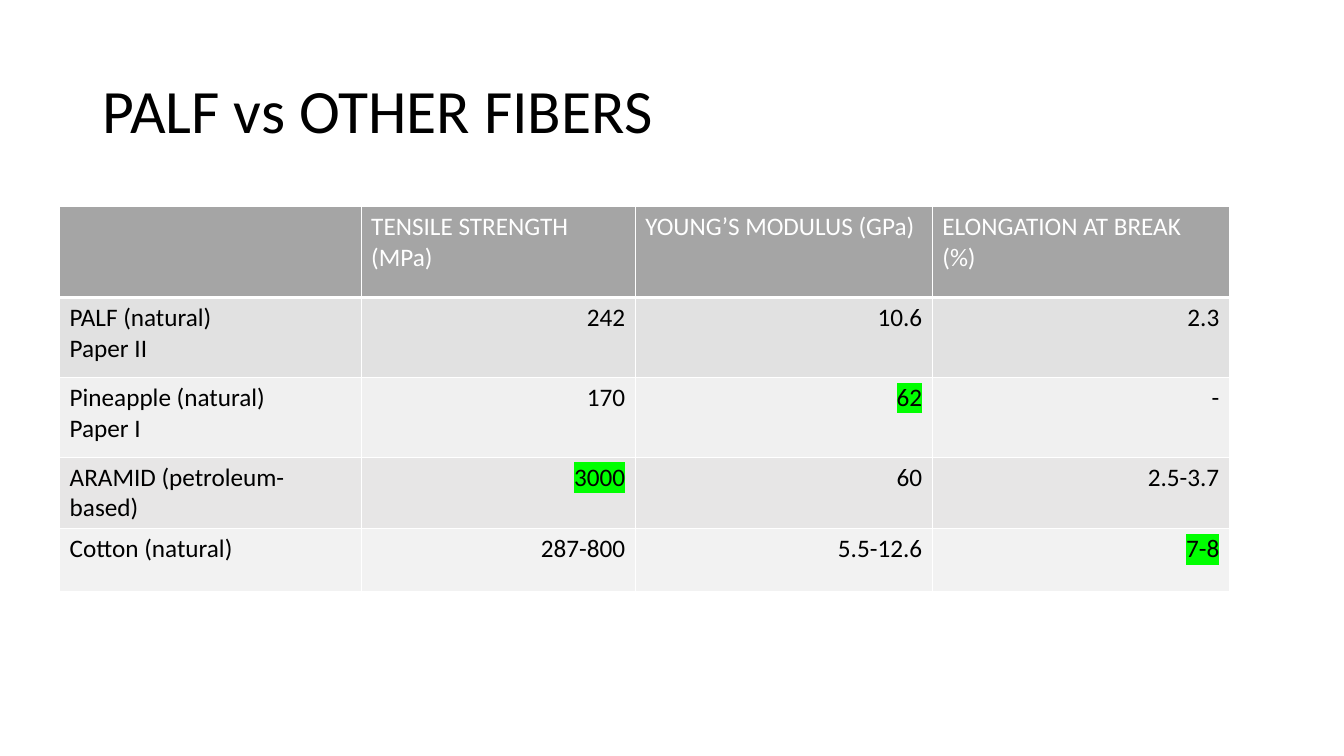
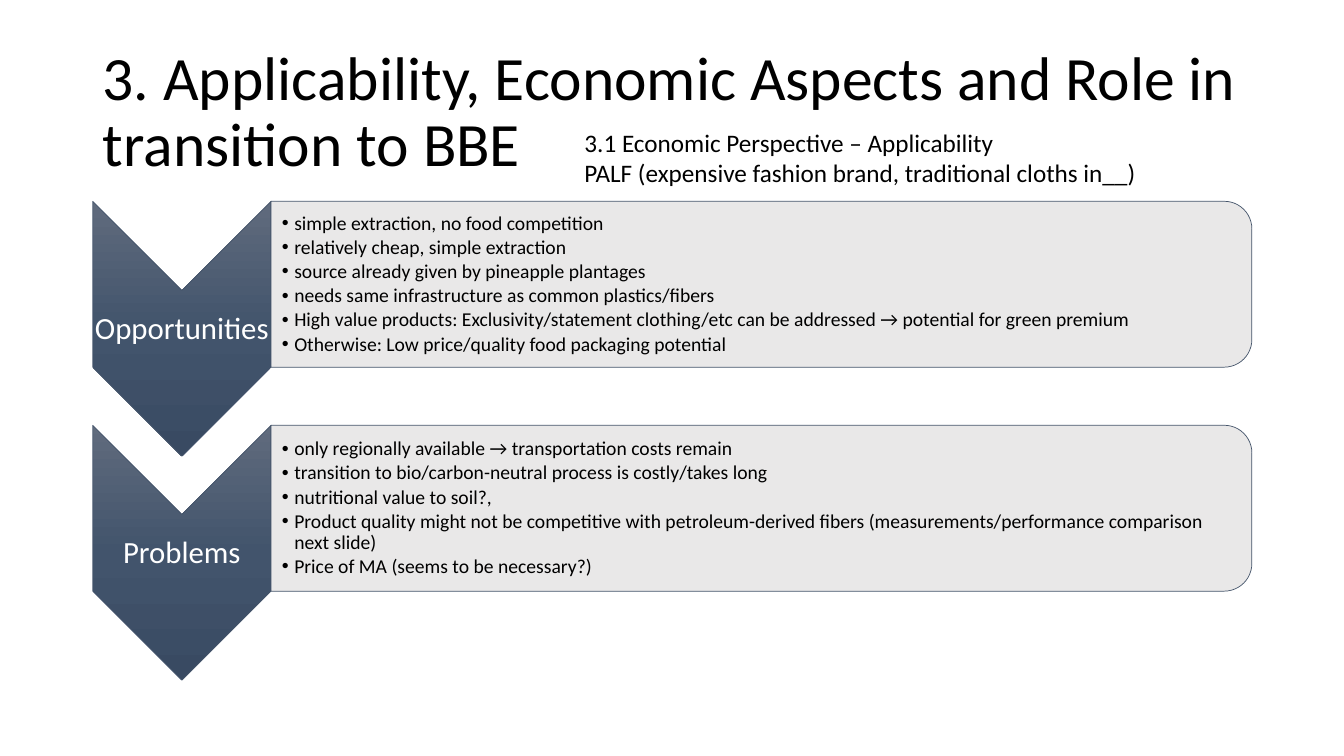
from dataclasses import dataclass

from lxml import etree
from pptx import Presentation
from pptx import util as u
from pptx.dml.color import RGBColor
from pptx.enum import shapes, text
from pptx.oxml import parse_xml
from pptx.oxml.ns import nsdecls, qn

Pt = u.Pt
ALIGN = text.PP_ALIGN
ANCHOR = text.MSO_ANCHOR
SHAPE = shapes.MSO_SHAPE


@dataclass(frozen=True)
class Theme:
    font: str = "Calibri"
    ink: str = "000000"
    white: str = "FFFFFF"
    header: str = "A5A5A5"
    bands: tuple = ("E1E1E1", "F0F0F0", "E7E6E6", "F2F2F2")
    mark: str = "00FF00"
    panel: str = "E7E6E6"
    outline: str = "44546A"
    gradient: tuple = ((0, "606B7D"), (50, "42546C"), (100, "394A62"))
    title_size: int = 44
    label_size: int = 22
    text_size: int = 18
    list_size: int = 14


T = Theme()

HEADINGS = ["", "TENSILE STRENGTH (MPa)", "YOUNG’S MODULUS (GPa)", "ELONGATION AT BREAK (%)"]
FIBERS = [
    ["PALF (natural)\nPaper II", "242", "10.6", "2.3"],
    ["Pineapple (natural)\nPaper I", "170", "62", "-"],
    ["ARAMID (petroleum-based)", "3000", "60", "2.5-3.7"],
    ["Cotton (natural)", "287-800", "5.5-12.6", "7-8"],
]
BEST = {(2, 2), (3, 1), (4, 3)}
COL_WIDTHS = [215.4, 195.8, 212.2, 212.2]
ROW_HEIGHTS = [65, 57, 57, 51, 45]

ASPECTS = [
    ("Opportunities", [
        "simple extraction, no food competition",
        "relatively cheap, simple extraction",
        "source already given by pineapple plantages",
        "needs same infrastructure as common plastics/fibers",
        "High value products: Exclusivity/statement clothing/etc can be addressed → potential for green premium",
        "Otherwise: Low price/quality food packaging potential",
    ]),
    ("Problems", [
        "only regionally available → transportation costs remain",
        "transition to bio/carbon-neutral process is costly/takes long",
        "nutritional value to soil?,",
        "Product quality might not be competitive with petroleum-derived fibers (measurements/performance comparison next slide)",
        "Price of MA (seems to be necessary?)",
    ]),
]


def rgb(color):
    return RGBColor.from_string(color)


def add_bullet(p, indent):
    pPr = p._p.get_or_add_pPr()
    pPr.set("marL", str(Pt(indent)))
    pPr.set("indent", str(-Pt(indent)))
    etree.SubElement(pPr, qn("a:buChar")).set("char", "•")


def write(tf, content, size=T.text_size, color=T.ink, align=ALIGN.LEFT,
          spacing=1.0, after=0, bullet=False, mark=None):
    for i, line in enumerate(content.split("\n")):
        p = tf.paragraphs[0] if i == 0 else tf.add_paragraph()
        if bullet:
            add_bullet(p, 8.8)
        p.alignment, p.line_spacing = align, spacing
        p.space_before, p.space_after = Pt(0), Pt(after)
        r = p.add_run()
        r.text = line
        r.font.size, r.font.bold = Pt(size), False
        r.font.color.rgb = rgb(color)
        if mark:
            highlight = etree.SubElement(r._r.get_or_add_rPr(), qn("a:highlight"))
            etree.SubElement(highlight, qn("a:srgbClr")).set("val", mark)
        r.font.name = T.font


def place(sp, x, y, w, h):
    sp.left, sp.top, sp.width, sp.height = Pt(x), Pt(y), Pt(w), Pt(h)


def frame(sp, margins=(7.2, 3.6, 7.2, 3.6), anchor=ANCHOR.MIDDLE):
    tf = sp.text_frame
    tf.word_wrap = True
    tf.auto_size = text.MSO_AUTO_SIZE.NONE
    tf.vertical_anchor = anchor
    tf.margin_left, tf.margin_top, tf.margin_right, tf.margin_bottom = map(Pt, margins)
    return tf


def add_slide(prs, layout, title):
    s = prs.slides.add_slide(prs.slide_layouts.get_by_name(layout))
    place(s.shapes.title, 66.2, 28.8, 828, 104.4)
    write(frame(s.shapes.title), title, size=T.title_size, spacing=0.9)
    return s


def add_text(s, content, x, y, w, h, margins=(7.2, 3.6, 7.2, 3.6), anchor=ANCHOR.TOP, **fmt):
    sp = s.shapes.add_textbox(Pt(x), Pt(y), Pt(w), Pt(h))
    write(frame(sp, margins, anchor), content, **fmt)


def add_turned(s, kind, x, y, w, h):
    left, top = x + (w - h) / 2, y + (h - w) / 2
    sp = s.shapes.add_shape(kind, Pt(left), Pt(top), Pt(h), Pt(w))
    sp.rotation = 90
    sp.shadow.inherit = False
    sp.line.color.rgb = rgb(T.outline)
    sp.line.width = Pt(0.5)
    return sp


def fill_gradient(sp, stops):
    gs = "".join(f'<a:gs pos="{pos * 1000}"><a:srgbClr val="{color}"/></a:gs>' for pos, color in stops)
    geometry = sp._element.spPr.find(qn("a:prstGeom"))
    geometry.addnext(parse_xml(
        f'<a:gradFill {nsdecls("a")} rotWithShape="0"><a:gsLst>{gs}</a:gsLst>'
        '<a:lin ang="5400000" scaled="0"/></a:gradFill>'))


def fill_solid(sp, color, opacity):
    sp.fill.solid()
    sp.fill.fore_color.rgb = rgb(color)
    clr = sp._element.spPr.find(qn("a:solidFill")).find(qn("a:srgbClr"))
    etree.SubElement(clr, qn("a:alpha")).set("val", str(opacity * 1000))


def style_cell(cell, fill, bottom):
    tcPr = cell._tc.get_or_add_tcPr()
    for side, width in (("L", 1), ("R", 1), ("T", 1), ("B", bottom)):
        tcPr.append(parse_xml(
            f'<a:ln{side} {nsdecls("a")} w="{Pt(width)}"><a:solidFill>'
            f'<a:srgbClr val="{T.white}"/></a:solidFill></a:ln{side}>'))
    cell.fill.solid()
    cell.fill.fore_color.rgb = rgb(fill)


def add_fiber_table(s, x, y):
    rows = [HEADINGS] + FIBERS
    gf = s.shapes.add_table(len(rows), len(HEADINGS), Pt(x), Pt(y),
                            Pt(sum(COL_WIDTHS)), Pt(sum(ROW_HEIGHTS)))
    tbl = gf.table
    tbl.horz_banding = False
    for col, width in zip(tbl.columns, COL_WIDTHS):
        col.width = Pt(width)
    for i, (values, fill) in enumerate(zip(rows, (T.header,) + T.bands)):
        tbl.rows[i].height = Pt(ROW_HEIGHTS[i])
        for j, value in enumerate(values):
            cell = tbl.cell(i, j)
            style_cell(cell, fill, bottom=1 if i else 3)
            if value:
                write(cell.text_frame, value, color=T.ink if i else T.white,
                      align=ALIGN.RIGHT if i and j else ALIGN.LEFT,
                      mark=T.mark if (i, j) in BEST else None)


def add_aspect(s, body, label, points, y):
    x, w, panel_x = 66.2, 127.4, 193.6
    fill_gradient(add_turned(s, SHAPE.CHEVRON, x, y, w, 182), T.gradient)
    add_text(s, label, x, y + 64, w, 54.7, margins=(1.4,) * 4, anchor=ANCHOR.MIDDLE,
             size=T.label_size, color=T.white, align=ALIGN.CENTER, spacing=0.9)
    panel = add_turned(s, SHAPE.ROUND_2_SAME_RECTANGLE, panel_x, y, 700.6, 118.5)
    fill_solid(panel, T.panel, 90)
    place(body, panel_x, y + 5.8, 694.8, 107)
    write(frame(body, (7.8, 0.7, 0.7, 0.7)), "\n".join(points),
          size=T.list_size, spacing=0.9, after=2.1, bullet=True)
    panel._element.addnext(body._element)


def main():
    prs = Presentation()
    prs.slide_width, prs.slide_height = Pt(960), Pt(540)

    s = add_slide(prs, "Title Only", "PALF vs OTHER FIBERS")
    add_fiber_table(s, 42.6, 147.6)

    s = add_slide(prs, "Two Content", "3. Applicability, Economic Aspects and Role in transition to BBE")
    bodies = [s.placeholders[1], s.placeholders[2]]
    for i, (body, (label, points)) in enumerate(zip(bodies, ASPECTS)):
        add_aspect(s, body, label, points, 143.8 + 160 * i)
    add_text(s, "3.1 Economic Perspective – Applicability\n"
                "PALF (expensive fashion brand, traditional cloths in__)", 410.4, 87.1, 520, 50)

    prs.save("out.pptx")


if __name__ == "__main__":
    main()
